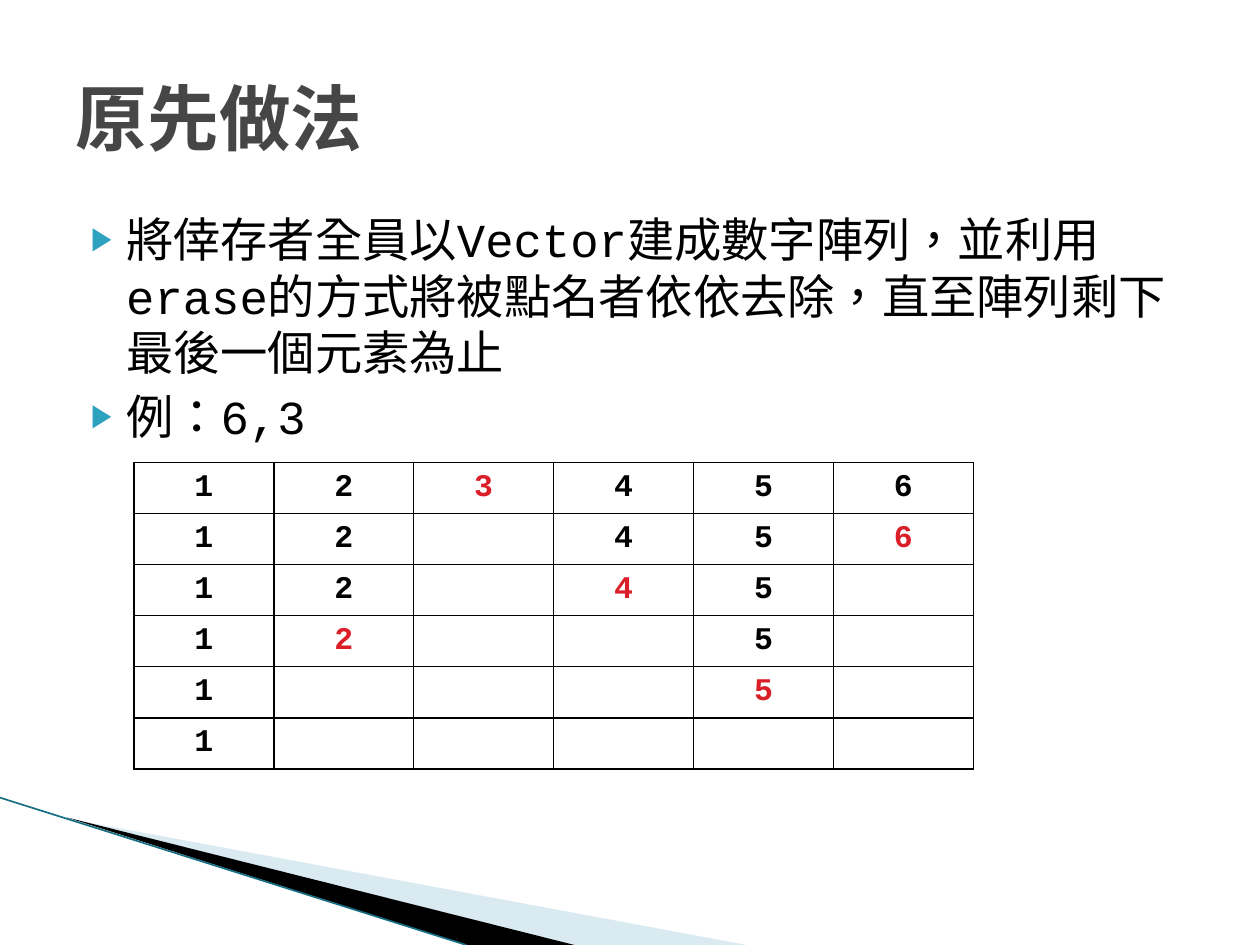
from lxml.etree import SubElement
from pptx import Presentation
from pptx.dml.color import RGBColor
from pptx.enum.lang import MSO_LANGUAGE_ID
from pptx.enum.shapes import MSO_CONNECTOR
from pptx.enum.text import MSO_ANCHOR, MSO_AUTO_SIZE, PP_ALIGN
from pptx.oxml.ns import qn
from pptx.util import Cm, Pt

BLACK = RGBColor(0x00, 0x00, 0x00)
WHITE = RGBColor(0xFF, 0xFF, 0xFF)
HEADING_GRAY = RGBColor(0x46, 0x46, 0x46)
BULLET_TEAL = RGBColor(0x2D, 0xA2, 0xBF)
EDGE_TEAL = RGBColor(0x17, 0x6F, 0x84)
PALE_BLUE = RGBColor(0xA0, 0xCB, 0xDC)
CALLED_RED = RGBColor(0xDA, 0x1F, 0x28)

FONT = "Courier New"
HEADING = "原先做法"
POINTS = [
    "將倖存者全員以Vector建成數字陣列，並利用erase的方式將被點名者依依去除，直至陣列剩下最後一個元素為止",
    "例：6,3",
]
PEOPLE = 6
CALL_ORDER = [3, 6, 4, 2, 5]
COLUMN_WIDTH = Cm(2.82)
ROW_HEIGHT = Cm(1.03)


def add_run(paragraph, text, size, color, bold=False):
    """Append one formatted run to a paragraph."""
    run = paragraph.add_run()
    run.text = text
    run.font.name = FONT
    run.font.size = Pt(size)
    run.font.bold = bold
    run.font.color.rgb = color
    run.font.language_id = MSO_LANGUAGE_ID.TRADITIONAL_CHINESE


def place(placeholder, left, top, width, height, anchor):
    """Move a placeholder and return its text frame."""
    placeholder.left, placeholder.top = Cm(left), Cm(top)
    placeholder.width, placeholder.height = Cm(width), Cm(height)
    frame = placeholder.text_frame
    frame.auto_size = MSO_AUTO_SIZE.NONE
    frame.vertical_anchor = anchor
    return frame


def set_bullet(paragraph):
    """Give a paragraph a hanging teal triangle bullet."""
    paragraph.space_before = Pt(4)
    properties = paragraph._p.get_or_add_pPr()
    properties.set("marL", str(Cm(1.02)))
    properties.set("indent", str(Cm(-0.71)))
    color = SubElement(properties, qn("a:buClr"))
    SubElement(color, qn("a:srgbClr"), val=str(BULLET_TEAL))
    SubElement(properties, qn("a:buSzPct"), val="68000")
    SubElement(properties, qn("a:buFont"), typeface="Arial")
    SubElement(properties, qn("a:buChar"), char="▶")


def add_wedge(slide, corners, color, opacity=100):
    """Draw a filled outline through corners given in centimetres."""
    start, *others = [(Cm(x), Cm(y)) for x, y in corners]
    builder = slide.shapes.build_freeform(*start)
    builder.add_line_segments(others, close=True)
    wedge = builder.convert_to_shape()
    wedge.shadow.inherit = False
    wedge.line.fill.background()
    wedge.fill.solid()
    wedge.fill.fore_color.rgb = color
    if opacity < 100:
        tint = wedge._element.spPr.find(qn("a:solidFill"))[0]
        SubElement(tint, qn("a:alpha"), val=str(opacity * 1000))


def add_edge(slide, start, end):
    """Draw the thin teal line along the wedges."""
    edge = slide.shapes.add_connector(
        MSO_CONNECTOR.STRAIGHT, *[Cm(value) for value in start + end])
    edge.line.color.rgb = EDGE_TEAL
    edge.line.width = Pt(0.95)
    SubElement(edge._element.spPr, qn("a:effectLst"))


def set_borders(cell):
    """Put black hairlines on all four sides of a cell."""
    properties = cell._tc.get_or_add_tcPr()
    for index, side in enumerate(("lnL", "lnR", "lnT", "lnB")):
        border = SubElement(properties, qn("a:" + side), w=str(Pt(1)))
        fill = SubElement(border, qn("a:solidFill"))
        SubElement(fill, qn("a:srgbClr"), val=str(BLACK))
        properties.insert(index, border)


def add_rounds(slide):
    """Show who is left each round, with the next one called in red."""
    rounds = len(CALL_ORDER) + 1
    table = slide.shapes.add_table(
        rounds, PEOPLE, Cm(2.7), Cm(9.32),
        COLUMN_WIDTH * PEOPLE, ROW_HEIGHT * rounds).table
    table.first_row = table.horz_banding = False
    for column in table.columns:
        column.width = COLUMN_WIDTH
    for turn, row in enumerate(table.rows):
        row.height = ROW_HEIGHT
        removed = CALL_ORDER[:turn]
        called = CALL_ORDER[turn:turn + 1]
        for person, cell in enumerate(row.cells, start=1):
            cell.fill.solid()
            cell.fill.fore_color.rgb = WHITE
            cell.vertical_anchor = MSO_ANCHOR.MIDDLE
            cell.margin_top = cell.margin_bottom = 0
            set_borders(cell)
            if person not in removed:
                paragraph = cell.text_frame.paragraphs[0]
                paragraph.alignment = PP_ALIGN.CENTER
                color = CALLED_RED if person in called else BLACK
                add_run(paragraph, str(person), 18, color, bold=True)


def main():
    """Build the slide and save it."""
    deck = Presentation()
    deck.slide_width, deck.slide_height = Cm(25.4), Cm(19.05)
    slide = deck.slides.add_slide(deck.slide_layouts[1])

    add_wedge(slide, [(1.4, 16.51), (15.05, 19.05), (11.58, 19.05)], PALE_BLUE, 40)
    add_wedge(slide, [(1.35, 16.48), (11.58, 19.05), (9.4, 19.05)], BLACK)
    add_edge(slide, (0, 16.08), (9.4, 19.05))

    heading = place(slide.shapes.title, 1.27, 0.76, 22.86, 3.18, MSO_ANCHOR.MIDDLE)
    heading.paragraphs[0].alignment = PP_ALIGN.LEFT
    add_run(heading.paragraphs[0], HEADING, 41, HEADING_GRAY, bold=True)

    body = place(slide.placeholders[1], 1.27, 4.11, 22.86, 12.57, MSO_ANCHOR.TOP)
    for index, point in enumerate(POINTS):
        paragraph = body.add_paragraph() if index else body.paragraphs[0]
        set_bullet(paragraph)
        add_run(paragraph, point, 27, BLACK)

    add_rounds(slide)
    deck.save("out.pptx")


main()
